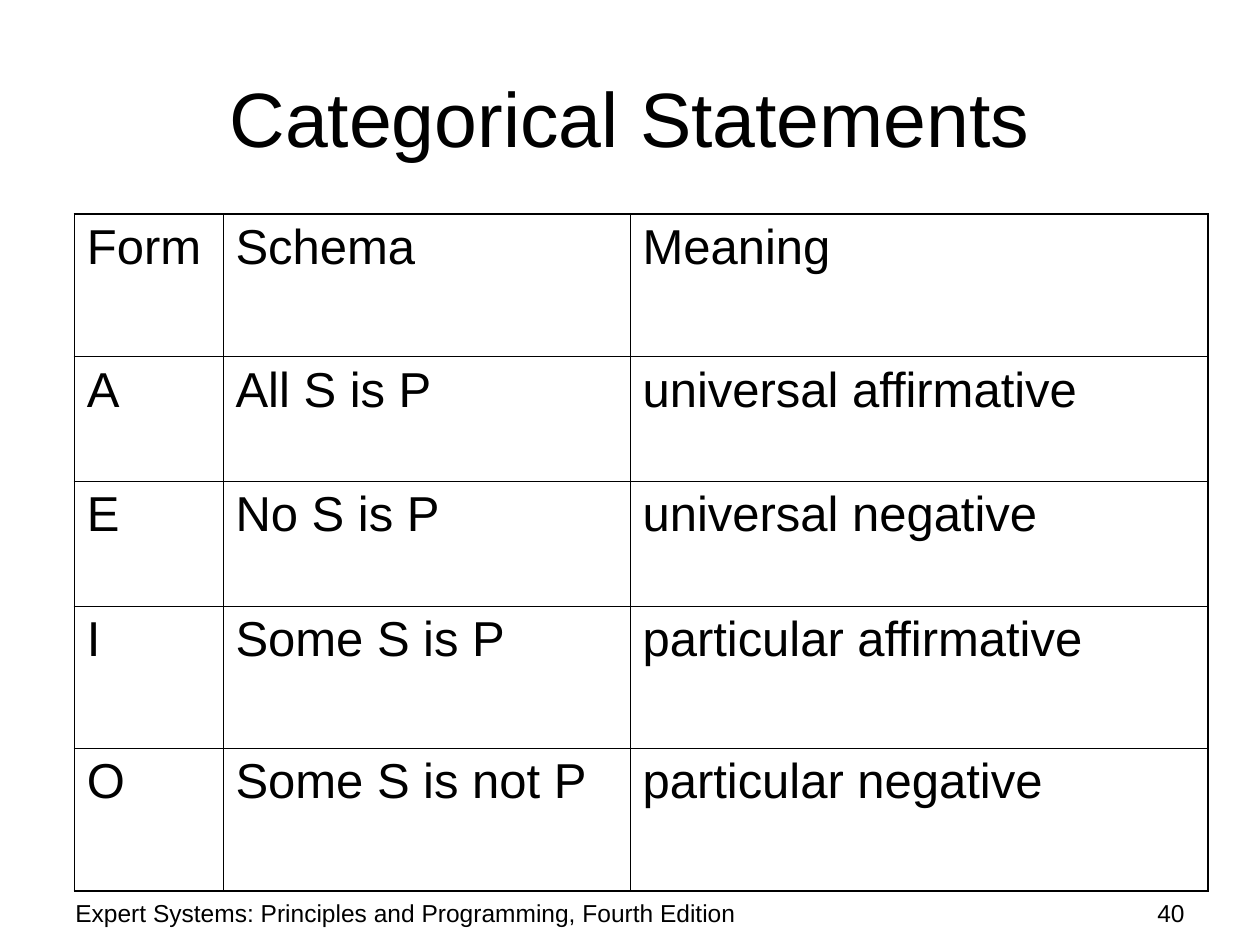
from lxml.etree import SubElement
from pptx import Presentation
from pptx.dml.color import RGBColor
from pptx.enum.text import MSO_ANCHOR, PP_ALIGN
from pptx.oxml.ns import qn
from pptx.util import Inches, Pt

COLORS = {"ink": "000000", "paper": "FFFFFF"}
FONT = "Arial"
THIN, THICK = 0.45, 1.08

prs = Presentation()
prs.slide_width, prs.slide_height = Inches(10), Inches(7.5)
s = prs.slides.add_slide(prs.slide_layouts[6])
s.background.fill.solid()
s.background.fill.fore_color.rgb = RGBColor.from_string(COLORS["paper"])


def write(tf, text, size, align=PP_ALIGN.LEFT):
    p = tf.paragraphs[0]
    p.alignment = align
    r = p.add_run()
    r.text = text
    r.font.name, r.font.size = FONT, Pt(size)
    r.font.color.rgb = RGBColor.from_string(COLORS["ink"])


def border(cell, side, width):
    ln = SubElement(cell._tc.get_or_add_tcPr(), qn(f"a:ln{side}"), w=str(Pt(width)))
    fill = SubElement(ln, qn("a:solidFill"))
    SubElement(fill, qn("a:srgbClr"), val=COLORS["ink"])


texts = [
    ("Categorical Statements", 0.5, 0.3, 9, 1.25, 44, PP_ALIGN.CENTER, MSO_ANCHOR.MIDDLE),
    ("Expert Systems: Principles and Programming, Fourth Edition",
     0.5, 7.08, 6.67, 0.25, 14, PP_ALIGN.LEFT, MSO_ANCHOR.TOP),
    ("40", 7.17, 7.08, 2.33, 0.27, 14, PP_ALIGN.RIGHT, MSO_ANCHOR.TOP),
]
for text, x, y, w, h, size, align, anchor in texts:
    tf = s.shapes.add_textbox(Inches(x), Inches(y), Inches(w), Inches(h)).text_frame
    tf.word_wrap = True
    tf.vertical_anchor = anchor
    write(tf, text, size, align)

rows = [
    ("Form", "Schema", "Meaning"),
    ("A", "All S is P", "universal affirmative"),
    ("E", "No S is P", "universal negative"),
    ("I", "Some S is P", "particular affirmative"),
    ("O", "Some S is not P", "particular negative"),
]
widths = [1.18, 3.23, 4.59]
heights = [1.13, 0.99, 0.99, 1.13, 1.13]
last_row, last_col = len(rows) - 1, len(widths) - 1

table = s.shapes.add_table(len(rows), len(widths), Inches(0.59), Inches(1.7),
                           Inches(sum(widths)), Inches(sum(heights))).table
table.first_row = table.horz_banding = False
for col, w in zip(table.columns, widths):
    col.width = Inches(w)
for row, h in zip(table.rows, heights):
    row.height = Inches(h)

for i, row in enumerate(rows):
    for j, text in enumerate(row):
        cell = table.cell(i, j)
        write(cell.text_frame, text, 28)
        outer = {"L": j == 0, "R": j == last_col, "T": i == 0, "B": i == last_row}
        for side, is_outer in outer.items():
            border(cell, side, THICK if is_outer else THIN)
        cell.fill.background()

prs.save("out.pptx")
